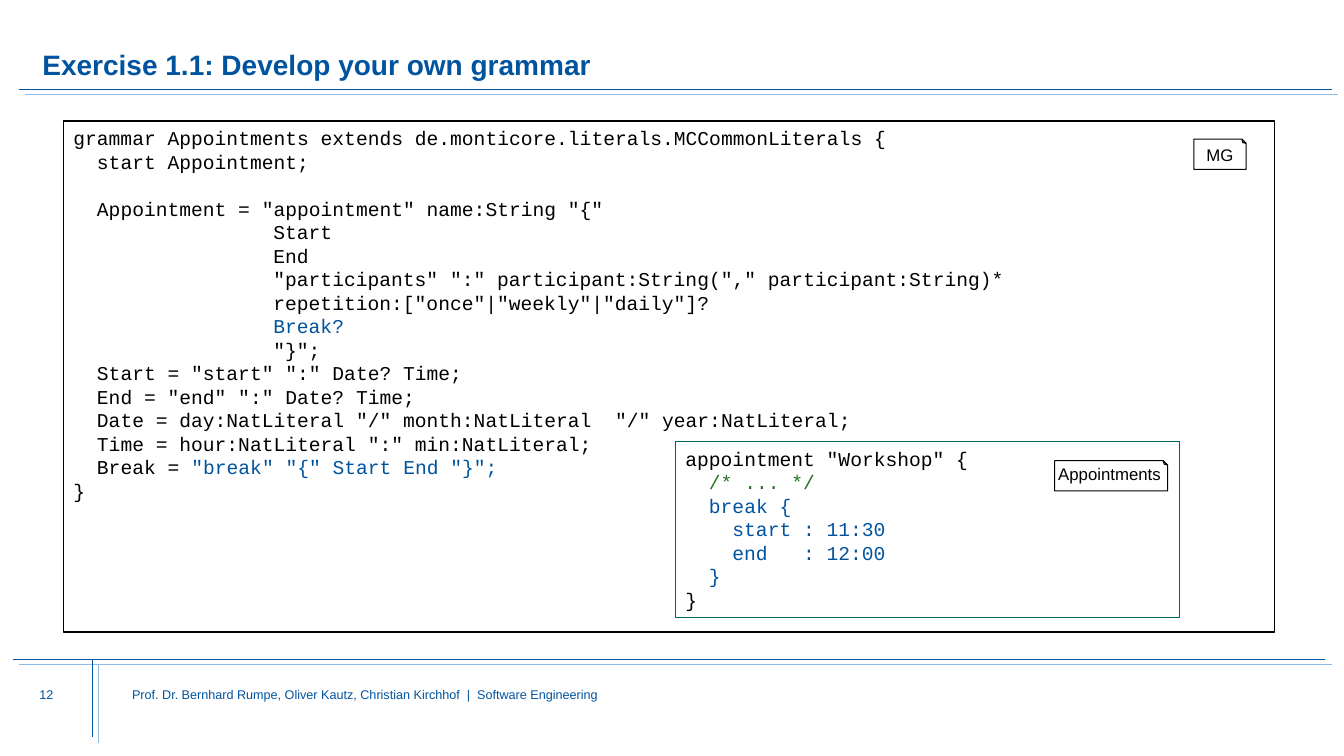
from typing import NamedTuple

import pptx
import pptx.dml.color
import pptx.enum.shapes
import pptx.enum.text
import pptx.oxml.ns
import pptx.util
from pptx.util import Inches

RGBColor = pptx.dml.color.RGBColor
Shape = pptx.enum.shapes.MSO_SHAPE
Align = pptx.enum.text.PP_ALIGN
Anchor = pptx.enum.text.MSO_ANCHOR

BLUE = RGBColor(0x00, 0x54, 0x9F)
LIGHT_BLUE = RGBColor(0x8E, 0xBA, 0xE5)
TEAL = RGBColor(0x00, 0x61, 0x65)
GREEN = RGBColor(0x26, 0x73, 0x26)
BLACK = RGBColor(0, 0, 0)
WHITE = RGBColor(0xFF, 0xFF, 0xFF)

CODE_SIZE = 14
CODE_PITCH = pptx.util.Pt(16.8)
CHARACTER_WIDTH = pptx.util.Pt(8.4)


class Box(NamedTuple):
    left: float
    top: float
    width: float
    height: float

    def lengths(self) -> list:
        return [Inches(value) for value in self]


class Rule(NamedTuple):
    start: tuple
    end: tuple
    color: RGBColor


class Piece(NamedTuple):
    text: str
    color: RGBColor = BLACK


class CodeLine(NamedTuple):
    indent: int
    pieces: list
    blank_lines_before: int = 0


class CodePanel(NamedTuple):
    box: Box
    line_color: RGBColor
    line_width: float
    lines: list


class FileTag(NamedTuple):
    text: str
    note: Box
    label: Box


class Caption(NamedTuple):
    text: str
    box: Box
    size: float
    bold: bool = False
    anchor: Anchor = Anchor.TOP
    line_spacing: float = 1.0


def code(indent: int, text: str, color: RGBColor = BLACK, blank_lines_before: int = 0) -> CodeLine:
    return CodeLine(indent, [Piece(text, color)], blank_lines_before)


RULES = [
    Rule((0.19, 0.89), (13.21, 0.89), BLUE),
    Rule((0.25, 0.94), (13.27, 0.94), LIGHT_BLUE),
    Rule((0.13, 6.54), (13.14, 6.54), BLUE),
    Rule((0.19, 6.59), (13.21, 6.59), LIGHT_BLUE),
    Rule((0.92, 6.54), (0.92, 7.31), BLUE),
    Rule((0.98, 6.6), (0.98, 7.37), LIGHT_BLUE),
]

CAPTIONS = [
    Caption("Prof. Dr. Bernhard Rumpe, Oliver Kautz, Christian Kirchhof  |  Software Engineering",
            Box(1.31, 6.81, 7.66, 0.69), 9),
    Caption("12", Box(0.39, 6.81, 0.8, 0.43), 9),
    Caption("Exercise 1.1: Develop your own grammar", Box(0.42, 0.22, 12.56, 0.59), 20,
            True, Anchor.BOTTOM, 0.9),
]

GRAMMAR = CodePanel(Box(0.63, 1.2, 12.01, 5.07), BLACK, 1, [
    code(0, "grammar Appointments extends de.monticore.literals.MCCommonLiterals {"),
    code(2, "start Appointment;"),
    code(2, 'Appointment = "appointment" name:String "{"', blank_lines_before=1),
    code(17, "Start"),
    code(17, "End"),
    code(17, '"participants" ":" participant:String("," participant:String)*'),
    code(17, 'repetition:["once"|"weekly"|"daily"]?'),
    code(17, "Break?", BLUE),
    code(17, '"}";'),
    code(2, 'Start = "start" ":" Date? Time;'),
    code(2, 'End = "end" ":" Date? Time;'),
    code(2, 'Date = day:NatLiteral "/" month:NatLiteral  "/" year:NatLiteral;'),
    code(2, 'Time = hour:NatLiteral ":" min:NatLiteral;'),
    CodeLine(2, [Piece("Break = "), Piece('"break" "{" Start End "}";', BLUE)]),
    code(0, "}"),
])

EXAMPLE = CodePanel(Box(6.7, 4.38, 5, 1.75), TEAL, 0.75, [
    code(0, 'appointment "Workshop" {'),
    code(2, "/* ... */", GREEN),
    code(2, "break {", BLUE),
    code(4, "start : 11:30", BLUE),
    code(4, "end   : 12:00", BLUE),
    code(2, "}", BLUE),
    code(0, "}"),
])

FILE_TAGS = [
    FileTag("MG", Box(11.84, 1.38, 0.52, 0.3), Box(11.84, 1.39, 0.52, 0.3)),
    FileTag("Appointments", Box(10.46, 4.57, 1.12, 0.3), Box(10.34, 4.55, 1.33, 0.3)),
]


def add_run(paragraph, piece: Piece, size: float, font_name: str = "Arial", bold: bool = False) -> None:
    run = paragraph.add_run()
    run.text = piece.text
    run.font.name = font_name
    run.font.size = pptx.util.Pt(size)
    run.font.bold = bold
    run.font.color.rgb = piece.color


def add_rule(slide, rule: Rule) -> None:
    points = [Inches(value) for value in rule.start + rule.end]
    connector = slide.shapes.add_connector(pptx.enum.shapes.MSO_CONNECTOR.STRAIGHT, *points)
    connector.line.color.rgb = rule.color
    connector.line.width = pptx.util.Pt(0.5)
    properties = connector._element.spPr
    properties.append(properties.makeelement(pptx.oxml.ns.qn("a:effectLst"), {}))


def add_caption(slide, caption: Caption) -> None:
    frame = slide.shapes.add_textbox(*caption.box.lengths()).text_frame
    frame.word_wrap = True
    frame.vertical_anchor = caption.anchor
    frame.margin_left = frame.margin_right = frame.margin_top = frame.margin_bottom = 0
    paragraph = frame.paragraphs[0]
    paragraph.line_spacing = caption.line_spacing
    add_run(paragraph, Piece(caption.text, BLUE), caption.size, bold=caption.bold)


def add_outlined_shape(slide, kind: Shape, box: Box, color: RGBColor, width: float):
    shape = slide.shapes.add_shape(kind, *box.lengths())
    shape.shadow.inherit = False
    shape.line.color.rgb = color
    shape.line.width = pptx.util.Pt(width)
    return shape


def add_code_panel(slide, panel: CodePanel) -> None:
    shape = add_outlined_shape(slide, Shape.RECTANGLE, panel.box, panel.line_color, panel.line_width)
    shape.fill.background()
    frame = shape.text_frame
    frame.word_wrap = True
    frame.vertical_anchor = Anchor.TOP
    for index, line in enumerate(panel.lines):
        paragraph = frame.add_paragraph() if index else frame.paragraphs[0]
        paragraph.alignment = Align.LEFT
        paragraph.line_spacing = CODE_PITCH
        paragraph.space_before = pptx.util.Emu(CODE_PITCH * line.blank_lines_before)
        properties = paragraph._p.get_or_add_pPr()
        properties.set("marL", str(CHARACTER_WIDTH * line.indent))
        properties.set("indent", "0")
        for piece in line.pieces:
            add_run(paragraph, piece, CODE_SIZE, "Courier New")


def add_file_tag(slide, tag: FileTag) -> None:
    note = add_outlined_shape(slide, Shape.FOLDED_CORNER, tag.note, BLACK, 0.75)
    note.fill.solid()
    note.fill.fore_color.rgb = WHITE
    note.rotation = 180
    properties = note._element.spPr
    properties.xfrm.set("flipH", "1")
    qn = pptx.oxml.ns.qn
    fold = properties.find(qn("a:prstGeom")).find(qn("a:avLst"))
    fold.append(fold.makeelement(qn("a:gd"), {"name": "adj", "fmla": "val 14200"}))
    frame = slide.shapes.add_textbox(*tag.label.lengths()).text_frame
    frame.word_wrap = True
    paragraph = frame.paragraphs[0]
    paragraph.alignment = Align.CENTER
    add_run(paragraph, Piece(tag.text), 12)


presentation = pptx.Presentation()
presentation.slide_width = Inches(13.33)
presentation.slide_height = Inches(7.5)
slide = presentation.slides.add_slide(presentation.slide_layouts[6])
for rule in RULES:
    add_rule(slide, rule)
for caption in CAPTIONS:
    add_caption(slide, caption)
for panel in (GRAMMAR, EXAMPLE):
    add_code_panel(slide, panel)
for tag in FILE_TAGS:
    add_file_tag(slide, tag)
presentation.save("out.pptx")
